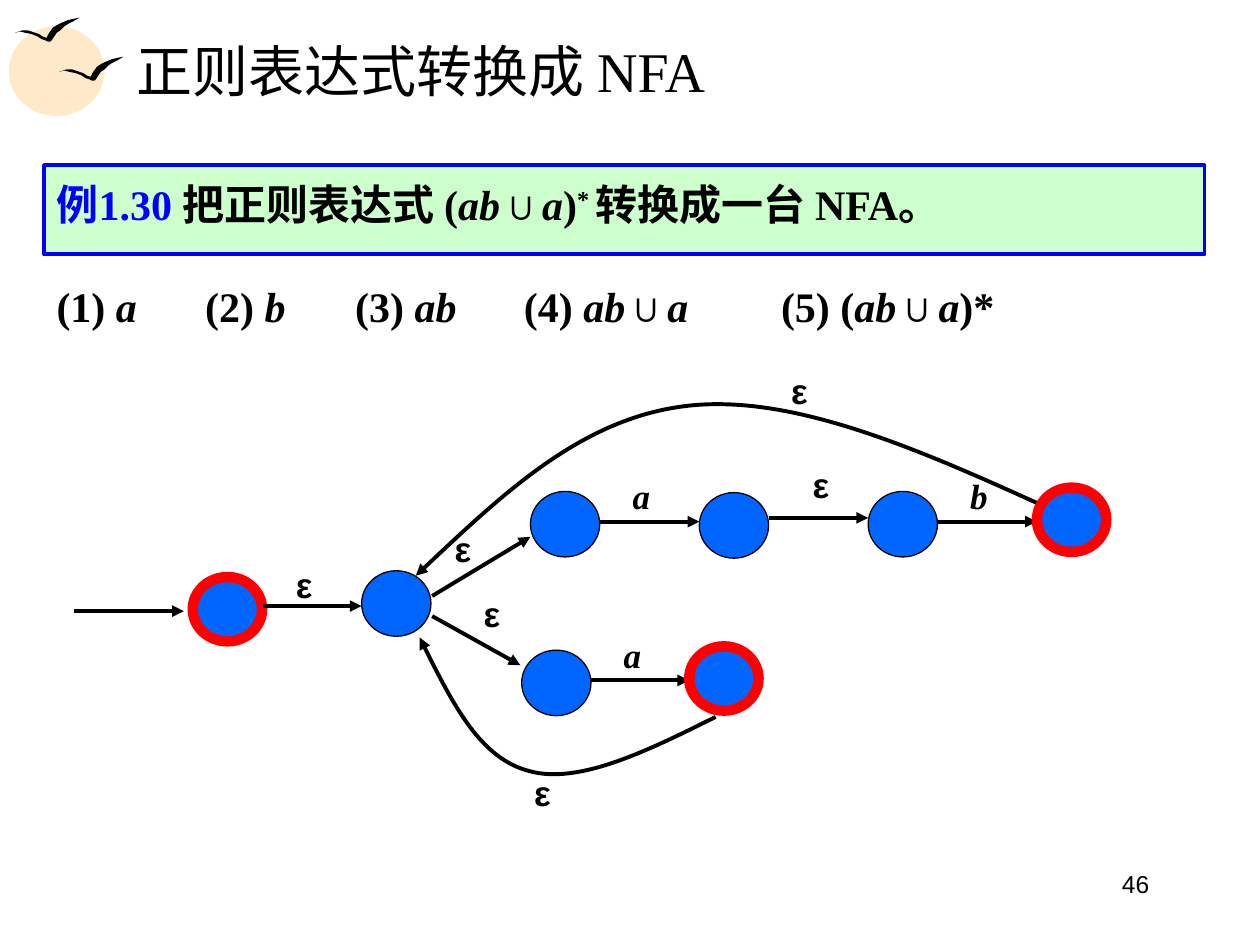
from pptx import Presentation, util as u
from pptx.dml.color import RGBColor
from pptx.enum import shapes, text
from pptx.oxml.ns import qn
from pptx.oxml.xmlchemy import OxmlElement

Inches, Pt = u.Inches, u.Pt
COLORS = {"black": "000000", "blue": "0000FF", "state": "0066FF", "accept": "FF0000",
          "panel": "CCFFCC", "sun": "FEE9C8"}
SERIF, SANS = "Times New Roman", "Arial"


def write(para, content, size=24, font=SERIF, color="black", bold=True, italic=False, raised=False):
    span = para.add_run()
    span.text = content
    span.font.size, span.font.name = Pt(size), font
    span.font.bold, span.font.italic = bold, italic
    span.font.color.rgb = RGBColor.from_string(COLORS[color])
    if raised:
        span.font._element.set("baseline", "30000")


def style(shape, fill=None, line=None, width=2.25, arrow=False):
    """Set fill and outline, drop the shadow, and add an arrowhead if wanted."""
    properties = shape._element.spPr
    if fill:
        shape.fill.solid()
        shape.fill.fore_color.rgb = RGBColor.from_string(COLORS[fill])
    if line:
        shape.line.color.rgb = RGBColor.from_string(COLORS[line])
        shape.line.width = Pt(width)
    else:
        shape.line.fill.background()
    if arrow:
        tail = OxmlElement("a:tailEnd")
        tail.set("type", "triangle")
        properties.find(qn("a:ln")).append(tail)
    properties.append(OxmlElement("a:effectLst"))


deck = Presentation()
deck.slide_width, deck.slide_height = Inches(10), Inches(7.5)
page = deck.slides.add_slide(deck.slide_layouts[1])
title, body = page.placeholders

# Sun and birds in the corner
for bounds in [(0.07, 0.21, 0.76, 0.71), (0.2, 0.28, 0.63, 0.55)]:
    sun = page.shapes.add_shape(shapes.MSO_SHAPE.OVAL, *map(Inches, bounds))
    style(sun, fill="sun")

BIRD = [(0, 12), (3, 11), (6, 10), (10, 10), (13, 11), (16, 12), (19, 13), (22, 15),
        (25, 16), (27, 12), (30, 8), (33, 6), (37, 4), (42, 2), (46, 1), (51, 0),
        (46, 3), (42, 5), (39, 7), (36, 10), (33, 12), (31, 15), (29, 18), (28, 19),
        (26, 19), (24, 18), (21, 17), (18, 15), (13, 13), (8, 12), (4, 11)]
for left, top in [(0.47, 0.45), (0.12, 0.14)]:
    outline = [(Inches(left + x / 100), Inches(top + y / 100)) for x, y in BIRD]
    builder = page.shapes.build_freeform(*outline[0])
    builder.add_line_segments(outline[1:])
    style(builder.convert_to_shape(), fill="black")

# Title
title.left, title.top, title.width, title.height = map(Inches, (0.98, 0.21, 8.53, 0.69))
title.text_frame.vertical_anchor = text.MSO_ANCHOR.MIDDLE
title.text_frame.auto_size = text.MSO_AUTO_SIZE.NONE
para = title.text_frame.paragraphs[0]
para.alignment = text.PP_ALIGN.LEFT
write(para, "正则表达式转换成 NFA", size=32, bold=False)

# Example statement
body.left, body.top, body.width, body.height = map(Inches, (0.35, 1.31, 9.21, 0.71))
style(body, fill="panel", line="blue")
body.text_frame.auto_size = text.MSO_AUTO_SIZE.NONE
para = body.text_frame.paragraphs[0]
para.line_spacing, para.space_before = 1.15, Pt(0)
settings = para._p.get_or_add_pPr()
settings.set("marL", "0")
settings.set("indent", "0")
settings.append(OxmlElement("a:buNone"))
write(para, "例1.30 ", color="blue")
write(para, "把正则表达式 (")
write(para, "ab", italic=True)
write(para, "∪")
write(para, "a", italic=True)
write(para, ")")
write(para, "* ", raised=True)
write(para, "转换成一台 NFA。")

# Steps: letters are italic, everything else upright
STEPS = [(0.35, 1.18, ["(1) ", "a"]), (1.53, 1.18, ["(2) ", "b"]), (2.72, 1.18, ["(3) ", "ab"]),
         (4.06, 1.73, ["(4) ", "ab", "∪", "a"]),
         (6.1, 2.28, ["(5) (", "ab", "∪", "a", ")*"])]
for left, width, pieces in STEPS:
    box = page.shapes.add_textbox(Inches(left), Inches(2.18), Inches(width), Inches(0.5))
    box.text_frame.word_wrap = True
    for piece in pieces:
        write(box.text_frame.paragraphs[0], piece, italic=piece.isalpha())

# Plain states
for left, top in [(2.87, 4.53), (4.21, 3.9), (5.55, 3.91), (6.89, 3.9), (4.14, 5.16)]:
    state = page.shapes.add_shape(shapes.MSO_SHAPE.OVAL, Inches(left), Inches(top),
                                  Inches(0.55), Inches(0.52))
    style(state, fill="state", line="black", width=0.75)

# Accepting states; arrows into the last two end beneath them
accepting = []
for left, top in [(1.53, 4.58), (5.47, 5.13), (8.23, 3.87)]:
    state = page.shapes.add_shape(shapes.MSO_SHAPE.OVAL, Inches(left), Inches(top),
                                  Inches(0.55), Inches(0.51))
    style(state, fill="state", line="accept", width=6)
    accepting.append(state)

# Straight transitions
ARROWS = [(0.59, 4.85, 1.46, 4.85), (2.09, 4.81, 2.87, 4.81), (3.43, 4.73, 4.21, 4.26),
          (3.43, 4.89, 4.13, 5.28), (4.76, 4.14, 5.55, 4.14), (6.1, 4.11, 6.89, 4.11),
          (7.44, 4.14, 8.23, 4.14), (4.69, 5.4, 5.47, 5.4)]
for ends in ARROWS:
    arrow = page.shapes.add_connector(shapes.MSO_CONNECTOR.STRAIGHT, *map(Inches, ends))
    style(arrow, line="black", arrow=True)

# Curved transitions back to the loop state: start, then Bézier points in threes
CURVES = [[(8.29, 4.02), (7.3, 3.57), (6.3, 3.13), (5.47, 3.22),
           (4.63, 3.31), (3.97, 3.94), (3.3, 4.57)],
          [(5.68, 5.69), (5.14, 5.96), (4.59, 6.23), (4.2, 6.12),
           (3.81, 6.02), (3.57, 5.54), (3.33, 5.06)]]
for points in CURVES:
    start, *rest = [(Inches(x), Inches(y)) for x, y in points]
    builder = page.shapes.build_freeform(*start)
    builder.add_line_segments(rest, close=False)
    curve = builder.convert_to_shape()
    curve.fill.background()
    segments = list(curve._element.iter(qn("a:lnTo")))
    for first in range(0, len(segments), 3):
        bezier = OxmlElement("a:cubicBezTo")
        segments[first].addprevious(bezier)
        for segment in segments[first:first + 3]:
            bezier.append(segment[0])
            segment.getparent().remove(segment)
    style(curve, line="black", arrow=True)

for state in accepting[1:]:
    page.shapes._spTree.append(state._element)

# Transition labels
LABELS = [("a", 4.92, 3.72), ("b", 7.6, 3.72), ("a", 4.85, 4.98), ("ε", 6.35, 3.63),
          ("ε", 3.51, 4.14), ("ε", 3.74, 4.65), ("ε", 4.14, 6.07), ("ε", 6.18, 2.88),
          ("ε", 2.25, 4.42)]
for symbol, left, top in LABELS:
    empty = symbol == "ε"
    box = page.shapes.add_textbox(Inches(left), Inches(top),
                                  Inches(0.32 if empty else 0.34), Inches(0.44))
    box.text_frame.word_wrap = False
    para = box.text_frame.paragraphs[0]
    para.alignment = text.PP_ALIGN.CENTER
    write(para, symbol, size=20, font=SANS if empty else SERIF, italic=not empty)

# Page number
box = page.shapes.add_textbox(Inches(6.89), Inches(6.85), Inches(2.33), Inches(0.52))
box.text_frame.word_wrap = True
para = box.text_frame.paragraphs[0]
para.alignment = text.PP_ALIGN.RIGHT
write(para, "46", size=14, font=SANS, bold=False)

deck.save("out.pptx")
